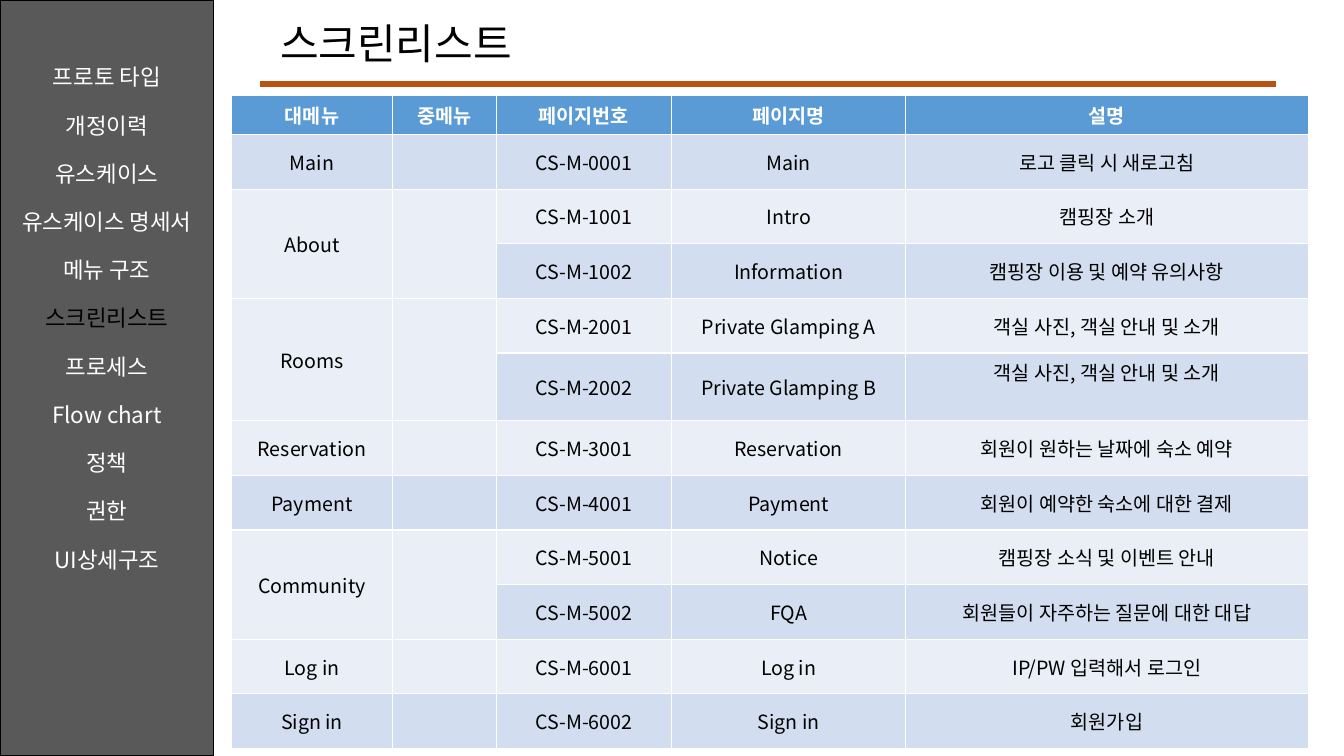
from dataclasses import dataclass

from lxml import etree
from pptx import Presentation
from pptx import util as u
from pptx.dml.color import RGBColor
from pptx.enum import shapes, text
from pptx.oxml.ns import qn


@dataclass(frozen=True)
class Theme:
    font: str = "Noto Sans CJK KR"
    title: int = 30
    menu: int = 16
    body: int = 14
    dark: str = "000000"
    light: str = "FFFFFF"
    side: str = "595959"
    rule: str = "B85410"
    head: str = "5B9BD5"
    bands: tuple = ("EAEFF7", "D2DEEF")


T = Theme()
W, H = u.Inches(13.33), u.Inches(7.5)

MENU = ["프로토 타입", "개정이력", "유스케이스", "유스케이스 명세서", "메뉴 구조",
        "스크린리스트", "프로세스", "Flow chart", "정책", "권한", "UI상세구조"]
HERE = "스크린리스트"

COLS = [1.59, 1.03, 1.74, 2.32, 3.99]
HEAD = ["대메뉴", "중메뉴", "페이지번호", "페이지명", "설명"]
# Each main menu with its pages: number, name, description
PAGES = [
    ("Main", [("0001", "Main", "로고 클릭 시 새로고침")]),
    ("About", [("1001", "Intro", "캠핑장 소개"),
               ("1002", "Information", "캠핑장 이용 및 예약 유의사항")]),
    ("Rooms", [("2001", "Private Glamping A", "객실 사진, 객실 안내 및 소개"),
               ("2002", "Private Glamping B", "객실 사진, 객실 안내 및 소개")]),
    ("Reservation", [("3001", "Reservation", "회원이 원하는 날짜에 숙소 예약")]),
    ("Payment", [("4001", "Payment", "회원이 예약한 숙소에 대한 결제")]),
    ("Community", [("5001", "Notice", "캠핑장 소식 및 이벤트 안내"),
                   ("5002", "FQA", "회원들이 자주하는 질문에 대한 대답")]),
    ("Log in", [("6001", "Log in", "IP/PW 입력해서 로그인")]),
    ("Sign in", [("6002", "Sign in", "회원가입")]),
]
TALL = "2002"  # this row is taller, its description sits at the top


def area(x, y, w, h):
    """Box from percentages of the slide's width and height."""
    return int(W * x / 100), int(H * y / 100), int(W * w / 100), int(H * h / 100)


def rgb(code):
    return RGBColor.from_string(code)


def style(para, size, color, bold=False, align=text.PP_ALIGN.CENTER):
    para.alignment = align
    font = para.font
    font.size, font.bold, font.name = u.Pt(size), bold, T.font
    font.color.rgb = rgb(color)
    # East Asian face for the Korean text
    run = para._p.pPr.find(qn("a:defRPr"))
    etree.SubElement(run, qn("a:ea"), typeface=T.font)


def sidebar(slide, box):
    bar = slide.shapes.add_shape(shapes.MSO_SHAPE.RECTANGLE, *box)
    bar.shadow.inherit = False
    bar.fill.solid()
    bar.fill.fore_color.rgb = rgb(T.side)
    bar.line.color.rgb = rgb(T.dark)
    bar.line.width = u.Pt(1)
    frame = bar.text_frame
    frame.word_wrap = True
    frame.vertical_anchor = text.MSO_ANCHOR.TOP
    frame.margin_top = int(box[3] * 0.084)
    for i, name in enumerate(MENU):
        para = frame.add_paragraph() if i else frame.paragraphs[0]
        para.text = name
        para.space_after = u.Pt(15.25)
        style(para, T.menu, T.dark if name == HERE else T.light)


def title(slide, box):
    frame = slide.shapes.add_textbox(*box).text_frame
    frame.word_wrap = True
    para = frame.paragraphs[0]
    para.text = HERE
    style(para, T.title, T.dark, align=text.PP_ALIGN.LEFT)


def rule(slide, box):
    x, y, w, h = box
    line = slide.shapes.add_connector(
        shapes.MSO_CONNECTOR.STRAIGHT, x, y, x + w, y + h)
    line.line.color.rgb = rgb(T.rule)
    line.line.width = u.Pt(4.5)
    etree.SubElement(line._element.spPr, qn("a:effectLst"))


def put(cell, words, fill, color, bold=False):
    cell.fill.solid()
    cell.fill.fore_color.rgb = rgb(fill)
    cell.vertical_anchor = text.MSO_ANCHOR.MIDDLE
    cell.text = words
    style(cell.text_frame.paragraphs[0], T.body, color, bold)


def listing(slide, box):
    # One line per page; only the first of a menu carries its name
    lines = [(menu if i == 0 else "", "", "CS-M-" + num, name, note)
             for menu, pages in PAGES
             for i, (num, name, note) in enumerate(pages)]
    grid = slide.shapes.add_table(len(lines) + 1, len(COLS), *box).table

    # Column and row sizes shared out over the box
    for col, part in zip(grid.columns, COLS):
        col.width = int(box[2] * part / sum(COLS))
    parts = [0.38] + [0.67 if TALL in line[2] else 0.54 for line in lines]
    for row, part in zip(grid.rows, parts):
        row.height = int(box[3] * part / sum(parts))

    # Header and banded rows
    for c, words in enumerate(HEAD):
        put(grid.cell(0, c), words, T.head, T.light, True)
    for r, line in enumerate(lines, 1):
        for c, words in enumerate(line):
            put(grid.cell(r, c), words, T.bands[r % 2], T.dark)
        if TALL in line[2]:
            grid.cell(r, len(COLS) - 1).vertical_anchor = text.MSO_ANCHOR.TOP

    # Menu cells span all their pages
    top = 1
    for _, pages in PAGES:
        end = top + len(pages) - 1
        if end > top:
            for c in (0, 1):
                grid.cell(top, c).merge(grid.cell(end, c))
        top = end + 1


def main():
    deck = Presentation()
    deck.slide_width, deck.slide_height = W, H
    slide = deck.slides.add_slide(deck.slide_layouts[6])
    listing(slide, area(17.25, 12.67, 80.1, 86.33))
    rule(slide, area(19.35, 11.07, 75.6, 0))
    title(slide, area(20.1, 1.6, 60, 8.13))
    sidebar(slide, area(0, 0, 15.9, 100))
    deck.save("out.pptx")


if __name__ == "__main__":
    main()
